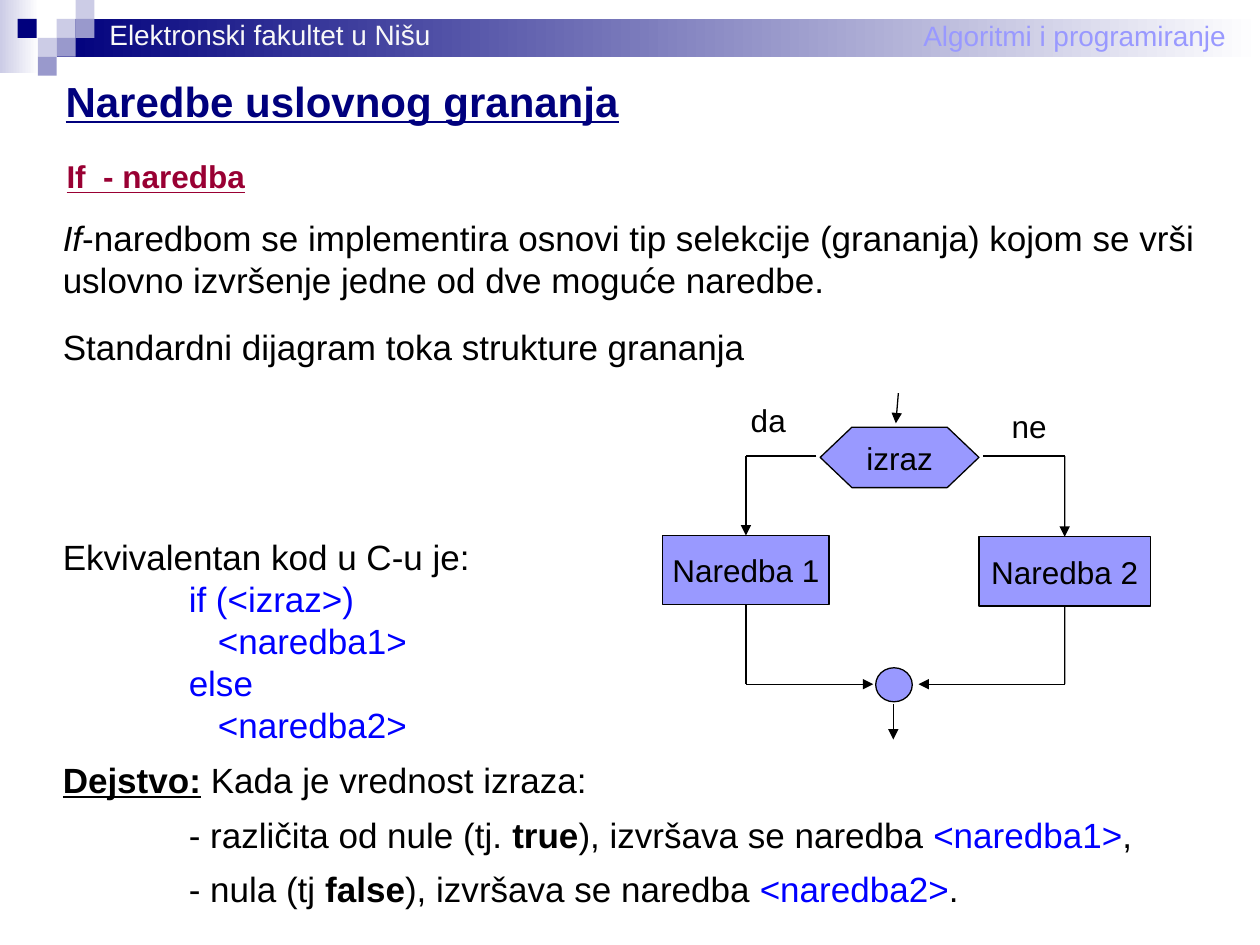
"""Build a slide on the if statement with its flow chart."""
import pptx
import pptx.util
import pptx.dml.color
import pptx.enum.shapes
import pptx.enum.text
import lxml.etree

Inches, Pt = pptx.util.Inches, pptx.util.Pt
Kind = pptx.enum.shapes.MSO_SHAPE
Align = pptx.enum.text.PP_ALIGN
Anchor = pptx.enum.text.MSO_ANCHOR
NAVY, BLACK, BLUE, LILAC = "00007D", "000000", "0000FF", "9999FF"
PALE, MID = "CCCCE6", "9999CC"


def color(code):
    """Turn a hex string into a colour."""
    return pptx.dml.color.RGBColor.from_string(code)


def style(font, size, code, bold=False):
    """Set the look of a font."""
    font.name, font.size, font.bold = "Arial", Pt(size), bold
    font.color.rgb = color(code)


deck = pptx.Presentation()
deck.slide_width, deck.slide_height = Inches(10), Inches(7.5)
slide = deck.slides.add_slide(deck.slide_layouts[5])
shapes = slide.shapes

for left, top, width, height, start in [
    (0, 0, 0.31, 0.58, PALE), (0.45, 0.15, 9.55, 0.3, NAVY),
]:
    band = shapes.add_shape(Kind.RECTANGLE, *map(Inches, (left, top, width, height)))
    band.shadow.inherit = False
    band.line.fill.background()
    band.fill.gradient()
    band.fill.gradient_angle = 0
    for stop, code in zip(band.fill.gradient_stops, (start, "FFFFFF")):
        stop.color.rgb = color(code)

for left, top, code in [
    (0.45, 0.15, PALE), (0.6, 0, PALE), (0.6, 0.15, MID), (0.3, 0.3, PALE),
    (0.14, 0.15, NAVY), (0.45, 0.3, MID), (0.3, 0.45, MID),
]:
    tile = shapes.add_shape(Kind.RECTANGLE, Inches(left), Inches(top),
                            Inches(0.15), Inches(0.15))
    tile.shadow.inherit = False
    tile.line.fill.background()
    tile.fill.solid()
    tile.fill.fore_color.rgb = color(code)

title = shapes.title
title.left, title.top = Inches(0.42), Inches(0.55)
title.width, title.height = Inches(4.59), Inches(0.5)
frame = title.text_frame
frame.text = "Naredbe uslovnog grananja"
frame.word_wrap = False
frame.auto_size = pptx.enum.text.MSO_AUTO_SIZE.NONE
frame.vertical_anchor = Anchor.TOP
head = frame.paragraphs[0]
head.alignment = Align.LEFT
style(head.font, 24, NAVY, True)
head.font.underline = True

for text, left, top, width, height, size, code, bold in [
    ("Algoritmi i programiranje", 7.23, 0.1, 2.6, 0.37, 16, LILAC, False),
    ("Elektronski fakultet u Nišu", 0.77, 0.09, 2.75, 0.37, 16, "F8F8F8", False),
    ("If  - naredba", 0.43, 1.2, 1.8, 0.4, 18, "990033", True),
    ("ne", 7.93, 3.18, 0.48, 0.4, 18, BLACK, False),
    ("da", 5.86, 3.13, 0.48, 0.4, 18, BLACK, False),
]:
    label = shapes.add_textbox(*map(Inches, (left, top, width, height)))
    label.text_frame.word_wrap = True
    label.text_frame.text = text
    line = label.text_frame.paragraphs[0]
    style(line.font, size, code, bold)
    line.font.underline = bold

body = shapes.add_textbox(Inches(0.4), Inches(1.67), Inches(9.26), Inches(5.6))
frame = body.text_frame
frame.word_wrap = False
rows = [
    (0, 24, BLACK, [("If", "i"), ("-naredbom se implementira osnovi tip selekcije "
                                  "(grananja) kojom se vrši", "")]),
    (0, 24, BLACK, [("uslovno izvršenje jedne od dve moguće naredbe.", "")]),
    (0, 38.4, BLACK, [("Standardni dijagram toka strukture grananja", "")]),
    (0, 24, BLACK, [("Ekvivalentan kod u C-u je:", "")]),
    (1, 24, BLUE, [("if (<izraz>)", "")]),
    (1, 24, BLUE, [("   <naredba1>", "")]),
    (1, 24, BLUE, [("else", "")]),
    (1, 24, BLUE, [("   <naredba2>", "")]),
    (0, 31.2, BLACK, [("Dejstvo:", "bu"), (" Kada je vrednost izraza:", "")]),
    (1, 31.2, BLACK, [("- različita od nule (tj. ", ""), ("true", "b"),
                      ("), izvršava se naredba ", ""), ("<naredba1>", "c"), (",", "")]),
    (1, 31.2, BLACK, [("- nula (tj ", ""), ("false", "b"),
                      ("), izvršava se naredba ", ""), ("<naredba2>", "c"), (".", "")]),
]
for index, (indent, pitch, code, parts) in enumerate(rows):
    line = frame.add_paragraph() if index else frame.paragraphs[0]
    line.line_spacing = Pt(pitch)
    if parts[0][0].startswith("Ekvivalentan"):
        line.space_before = Pt(96)
    line._p.get_or_add_pPr().set("marL", str(Inches(indent)))
    style(line.font, 20, code)
    for text, marks in parts:
        run = line.add_run()
        run.text = text
        if "i" in marks:
            run.font.italic = True
        if "b" in marks:
            run.font.bold = True
        if "u" in marks:
            run.font.underline = True
        if "c" in marks:
            run.font.color.rgb = color(BLUE)

nodes = []
for kind, text, left, top, width, height in [
    (Kind.FLOWCHART_PREPARATION, "izraz", 6.51, 3.39, 1.26, 0.48),
    (Kind.FLOWCHART_PROCESS, "Naredba 1", 5.26, 4.25, 1.32, 0.55),
    (Kind.FLOWCHART_PROCESS, "Naredba 2", 7.77, 4.26, 1.36, 0.55),
    (Kind.FLOWCHART_CONNECTOR, "", 6.95, 5.3, 0.29, 0.27),
]:
    node = shapes.add_shape(kind, *map(Inches, (left, top, width, height)))
    node.shadow.inherit = False
    node.fill.solid()
    node.fill.fore_color.rgb = color(LILAC)
    node.line.color.rgb = color(BLACK)
    node.line.width = Pt(0.75)
    if text:
        node.text_frame.word_wrap = False
        node.text_frame.vertical_anchor = Anchor.MIDDLE
        node.text_frame.text = text
        line = node.text_frame.paragraphs[0]
        line.alignment = Align.CENTER
        style(line.font, 18, BLACK)
    nodes.append(node)

test, yes, no, join = nodes
space = "{http://schemas.openxmlformats.org/drawingml/2006/main}"
for x1, y1, x2, y2, arrow, source, target in [
    (6.48, 3.62, 5.92, 3.62, False, None, None),
    (5.92, 3.62, 5.92, 4.25, True, None, yes),
    (7.8, 3.62, 8.45, 3.62, False, None, None),
    (8.45, 3.62, 8.45, 4.26, True, None, no),
    (5.92, 4.8, 5.92, 5.43, False, yes, None),
    (5.92, 5.43, 6.93, 5.43, True, None, None),
    (8.45, 4.81, 8.45, 5.43, False, no, None),
    (8.45, 5.43, 7.29, 5.43, True, None, None),
    (7.09, 5.59, 7.09, 5.87, True, None, None),
    (7.13, 3.12, 7.11, 3.36, True, None, None),
]:
    link = shapes.add_connector(pptx.enum.shapes.MSO_CONNECTOR.STRAIGHT,
                                *map(Inches, (x1, y1, x2, y2)))
    link.line.color.rgb = color(BLACK)
    link.line.width = Pt(0.75)
    if source:
        link.begin_connect(source, 2)
    if target:
        link.end_connect(target, 0)
    if arrow:
        lxml.etree.SubElement(link.line._get_or_add_ln(), space + "tailEnd", type="triangle")
    lxml.etree.SubElement(link._element.spPr, space + "effectLst")

deck.save("out.pptx")
